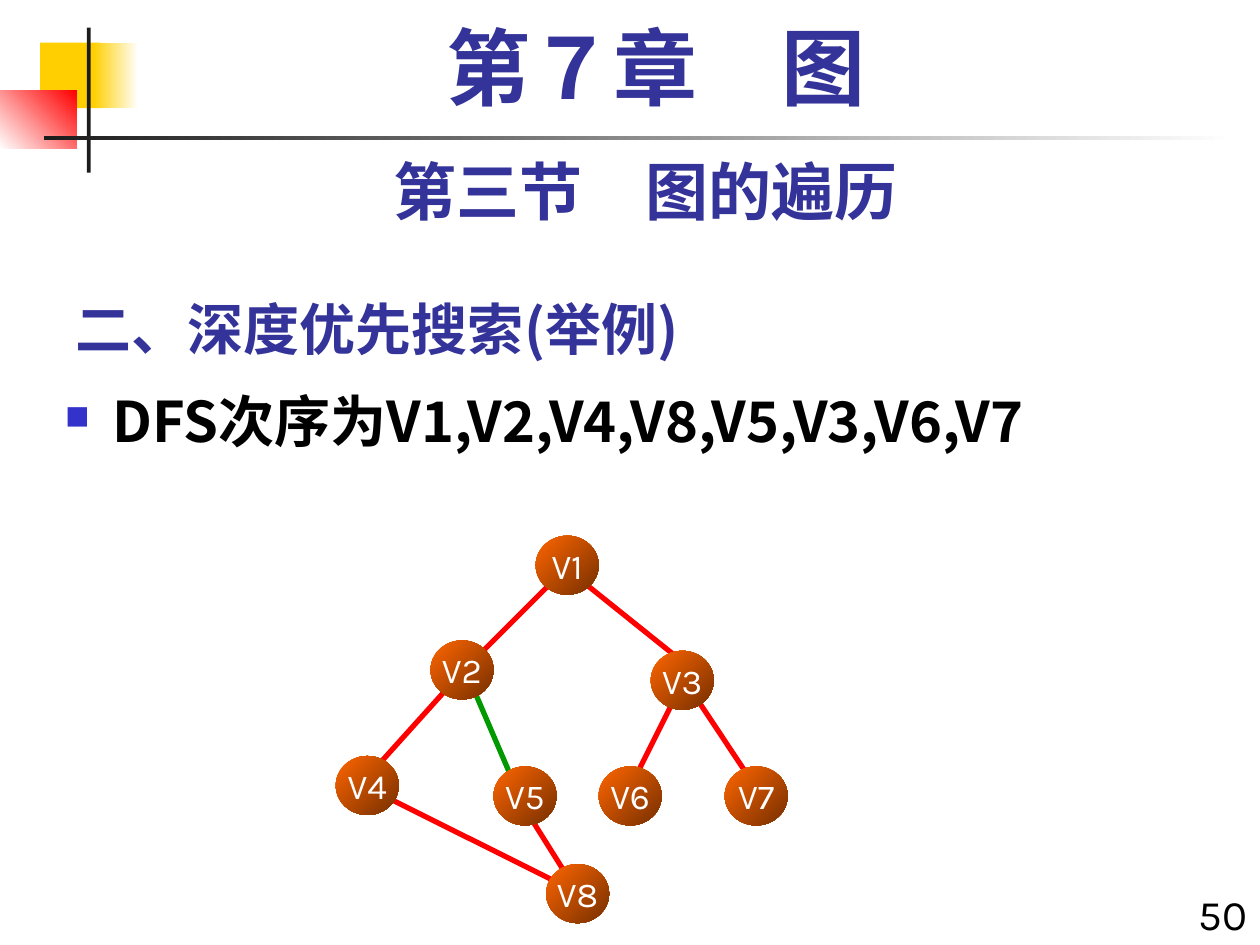
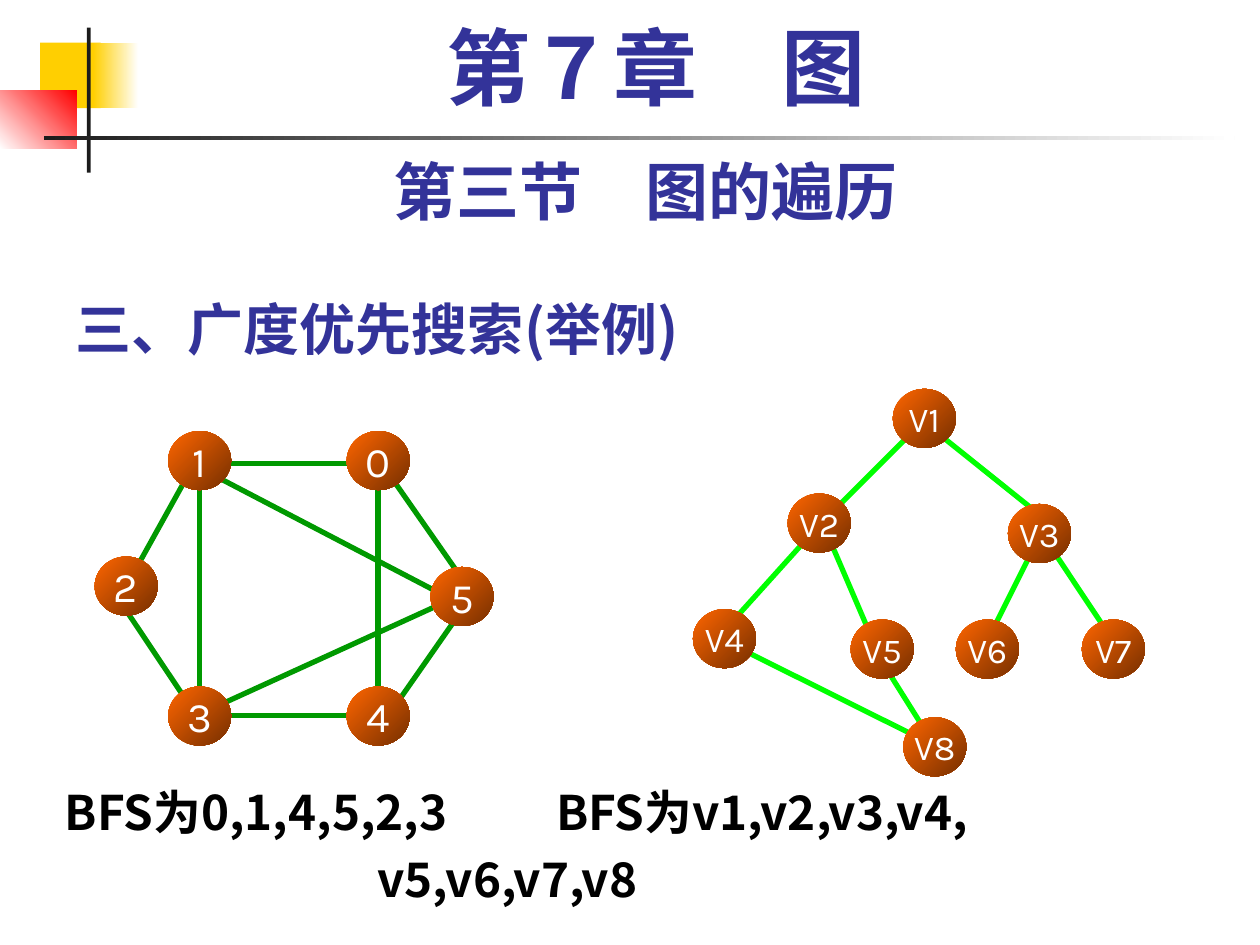
from lxml import etree
from pptx import Presentation
from pptx import util as u
from pptx.dml.color import RGBColor
from pptx.enum import shapes as es, text as et
from pptx.oxml.ns import qn

Cm, Pt = u.Cm, u.Pt

# Colours and fonts
INDIGO = RGBColor(0x33, 0x33, 0x99)
BULLET_BLUE = RGBColor(0x33, 0x33, 0xCC)
BLACK = RGBColor(0, 0, 0)
CHARCOAL = RGBColor(0x1C, 0x1C, 0x1C)
WHITE = RGBColor(0xFF, 0xFF, 0xFF)
YELLOW = RGBColor(0xFF, 0xCF, 0x01)
RED = RGBColor(0xFF, 0, 0)
GREEN = RGBColor(0, 0x99, 0)
LIME = RGBColor(0, 0xFF, 0)
ORANGE = RGBColor(0xFF, 0x66, 0)
BROWN = RGBColor(0x76, 0x2F, 0)
KARLA, CJK, TIMES = "Karla", "Noto Sans CJK SC", "Times New Roman"

# Shared content
CHAPTER = "第７章　图"
SECTION = "第三节　图的遍历"

# Band: left, top, width, height, colours, gradient angle
BAND = [
    (0.81, 0.86, 1.22, 1.32, (YELLOW,), 0),
    (1.88, 0.86, 0.91, 1.32, (YELLOW, WHITE), 0),
    (0, 1.83, 1.55, 1.17, (WHITE, RED), 45),
    (1.75, 0.56, 0.08, 2.92, (CHARCOAL,), 0),
    (0.89, 2.74, 24, 0.08, (CHARCOAL, WHITE), 0),
]

# Graphs: top-left corner of each node; ends of each edge (cm)
NODE_W, NODE_H = 1.27, 1.19
TREE_NODES = {
    "V1": (10.8, 10.8), "V3": (13.12, 13.12), "V2": (8.68, 12.91),
    "V5": (9.95, 15.45), "V4": (6.77, 15.24), "V6": (12.07, 15.45),
    "V7": (14.61, 15.45), "V8": (11.01, 17.42),
}
TREE_EDGES = {
    "V2-V4": (9.31, 13.55, 7.41, 15.66),
    "V1-V2": (11.22, 11.64, 9.31, 13.55),
    "V2-V5": (10.58, 16.3, 9.31, 13.34),
    "V4-V8": (11.64, 17.99, 7.41, 15.88),
    "V5-V8": (11.64, 17.99, 10.58, 16.3),
    "V1-V3": (11.64, 11.64, 13.76, 13.34),
    "V3-V6": (13.76, 13.76, 12.7, 15.88),
    "V3-V7": (13.97, 13.97, 15.24, 15.88),
}
RING_NODES = {
    "1": (3.39, 8.69), "3": (3.39, 13.84), "2": (1.91, 11.22),
    "5": (8.68, 11.43), "4": (6.99, 13.84), "0": (6.99, 8.69),
}
RING_EDGES = {
    "0-1": (7.2, 9.35, 4.66, 9.35),
    "0-4": (7.62, 9.75, 7.62, 14),
    "0-5": (7.83, 9.54, 9.31, 11.66),
    "1-2": (3.81, 9.54, 2.75, 11.45),
    "1-3": (4.02, 14.2, 4.02, 9.75),
    "1-5": (9.1, 12.08, 4.23, 9.54),
    "2-3": (3.81, 14.2, 2.54, 12.3),
    "3-4": (7.41, 14.42, 4.23, 14.42),
    "3-5": (9.1, 12.08, 4.45, 14.2),
    "4-5": (9.31, 12.3, 7.83, 14.42),
}
TREE, RING = (TREE_NODES, TREE_EDGES, 20), (RING_NODES, RING_EDGES, 24)

# Slides; a graph is (graph, edge colour, exceptions, shift)
SLIDES = [
    dict(heading="二、深度优先搜索(举例)",
         order=["DFS次序为V1,V2,V4,V8,V5,V3,V6,V7"],
         order_top=7.83, size=32, spacing=0.9, bulleted=True, page="50",
         graphs=[(TREE, RED, {"V2-V5": GREEN}, (0, 0))]),
    dict(heading="三、广度优先搜索(举例)",
         order=["BFS为0,1,4,5,2,3\tBFS为v1,v2,v3,v4,", "\tv5,v6,v7,v8"],
         order_top=15.88, size=27.2, spacing=0.8, bulleted=False, page=None,
         graphs=[(RING, GREEN, {}, (0, 0)),
                 (TREE, LIME, {}, (7.2, -2.96))]),
]
TAB_STOPS = (6.3, 9.9)


def style(paragraph, size, font, color, bold=True, align=et.PP_ALIGN.LEFT):
    paragraph.alignment = align
    for run in paragraph.runs:
        run.font.size, run.font.bold, run.font.name = Pt(size), bold, font
        run.font.color.rgb = color
        etree.SubElement(run.font._element, qn("a:ea"), typeface=CJK)


def add_text(slide, box, words, *look, **more):
    frame = slide.shapes.add_textbox(*map(Cm, box)).text_frame
    frame.word_wrap = True
    frame.text = words
    for paragraph in frame.paragraphs:
        style(paragraph, *look, **more)
    return frame


def paint(shape, colors, angle):
    shape.shadow.inherit = False
    shape.line.fill.background()
    if len(colors) == 1:
        shape.fill.solid()
        shape.fill.fore_color.rgb = colors[0]
        return
    shape.fill.gradient()
    shape.fill.gradient_angle = angle
    for stop, color in zip(shape.fill.gradient_stops, colors):
        stop.color.rgb = color


def add_bullet(paragraph):
    props = paragraph._p.get_or_add_pPr()
    props.set("marL", str(Cm(0.95)))
    props.set("indent", str(-Cm(0.95)))
    tint = etree.SubElement(props, qn("a:buClr"))
    etree.SubElement(tint, qn("a:srgbClr"), val=str(BULLET_BLUE))
    etree.SubElement(props, qn("a:buSzPct"), val="60000")
    etree.SubElement(props, qn("a:buChar"), char="■")


def add_tabs(paragraph):
    tabs = etree.SubElement(paragraph._p.get_or_add_pPr(), qn("a:tabLst"))
    for stop in TAB_STOPS:
        etree.SubElement(tabs, qn("a:tab"), pos=str(Cm(stop)), algn="l")


def add_graph(slide, graph, edge_color, exceptions, shift):
    nodes, edges, size = graph
    dx, dy = shift
    parts = slide.shapes.add_group_shape().shapes
    for pair, (x1, y1, x2, y2) in edges.items():
        edge = parts.add_connector(es.MSO_CONNECTOR.STRAIGHT, Cm(x1 + dx),
                                   Cm(y1 + dy), Cm(x2 + dx), Cm(y2 + dy))
        edge.line.width = Pt(3)
        edge.line.color.rgb = exceptions.get(pair, edge_color)
        etree.SubElement(edge._element.spPr, qn("a:effectLst"))
    for label, (x, y) in nodes.items():
        node = parts.add_shape(es.MSO_SHAPE.OVAL, Cm(x + dx), Cm(y + dy),
                               Cm(NODE_W), Cm(NODE_H))
        paint(node, (ORANGE, BROWN), 315)
        frame = node.text_frame
        frame.margin_left = frame.margin_right = 0
        frame.word_wrap = False
        frame.vertical_anchor = et.MSO_ANCHOR.MIDDLE
        frame.text = label
        style(frame.paragraphs[0], size, KARLA, WHITE, False,
              et.PP_ALIGN.CENTER)


def add_frame(slide, heading):
    # Band and the lines every slide carries
    for *box, colors, angle in BAND:
        paint(slide.shapes.add_shape(es.MSO_SHAPE.RECTANGLE, *map(Cm, box)),
              colors, angle)
    title = slide.shapes.title
    title.left, title.top, title.width, title.height = map(
        Cm, (1.27, 5.5, 20.96, 1.91))
    title.text_frame.text = heading
    title.text_frame.auto_size = et.MSO_AUTO_SIZE.NONE
    title.text_frame.vertical_anchor = et.MSO_ANCHOR.BOTTOM
    style(title.text_frame.paragraphs[0], 32, CJK, INDIGO)
    center = et.PP_ALIGN.CENTER
    add_text(slide, (1.27, 2.96, 23.5, 1.78), SECTION, 36, KARLA, INDIGO,
             align=center)
    chapter = add_text(slide, (1.69, 0.42, 23.07, 2.12), CHAPTER, 48, TIMES,
                       INDIGO, align=center)
    chapter.paragraphs[0].line_spacing = 0.9


def main():
    prs = Presentation()
    prs.slide_width, prs.slide_height = Cm(25.4), Cm(19.05)
    for content in SLIDES:
        slide = prs.slides.add_slide(prs.slide_layouts[5])
        add_frame(slide, content["heading"])

        # Visiting order
        top = content["order_top"]
        order = add_text(slide, (1.06, top, 24.34, 19.05 - top),
                         "\n".join(content["order"]), content["size"], CJK,
                         BLACK)
        for number, paragraph in enumerate(order.paragraphs):
            paragraph.line_spacing = content["spacing"]
            if number:
                paragraph.space_before = Pt(12)
            if content["bulleted"]:
                add_bullet(paragraph)
            else:
                add_tabs(paragraph)

        for graph in content["graphs"]:
            add_graph(slide, *graph)
        if content["page"]:
            add_text(slide, (23.7, 17.78, 1.7, 1.5), content["page"], 24,
                     KARLA, BLACK, False, et.PP_ALIGN.RIGHT)
    prs.save("out.pptx")


if __name__ == "__main__":
    main()
